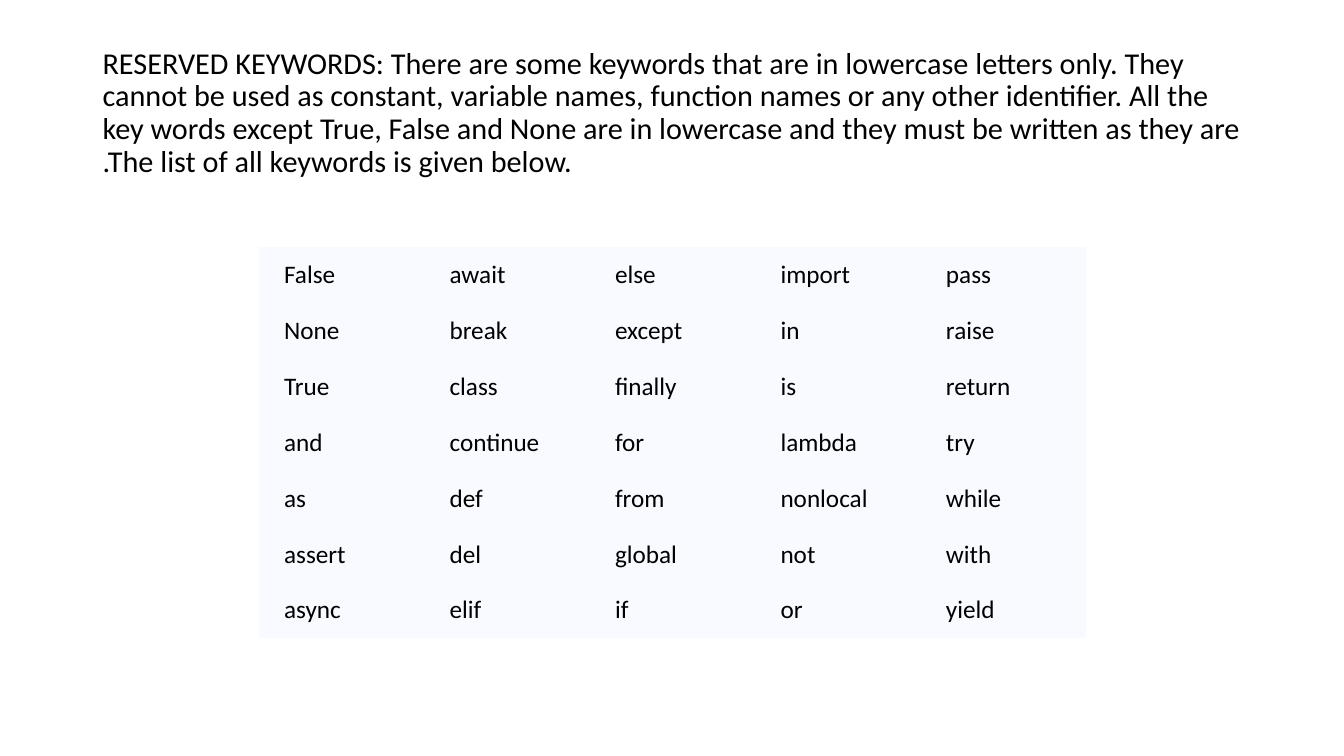
import pptx
import pptx.util
import pptx.dml.color
import pptx.enum.text
from pptx.util import Cm, Pt

THEME = {
    "font": "Calibri",
    "title_size": Pt(21.6),
    "cell_size": Pt(18),
    "text": pptx.dml.color.RGBColor(0x00, 0x00, 0x00),
    "cell_fill": pptx.dml.color.RGBColor(0xF8, 0xFA, 0xFF),
    "plain_table": "{2D5ABB26-0587-4C30-8999-92F81FD0307C}",
}
MIDDLE = pptx.enum.text.MSO_ANCHOR.MIDDLE
INTRO = (
    "RESERVED KEYWORDS: There are some keywords that are in lowercase letters only. "
    "They cannot be used as constant, variable names, function names or any other "
    "identifier. All the key words except True, False and None are in lowercase and "
    "they must be written as they are .The list of all keywords is given below."
)
KEYWORD_COLUMNS = [
    "False None True and as assert async".split(),
    "await break class continue def del elif".split(),
    "else except finally for from global if".split(),
    "import in is lambda nonlocal not or".split(),
    "pass raise return try while with yield".split(),
]


def set_attrs(obj, values):
    """Set each named attribute of an object."""
    for name, value in values.items():
        setattr(obj, name, value)


def write_text(p, text, size):
    """Write one left-aligned run in the theme font."""
    p.alignment = pptx.enum.text.PP_ALIGN.LEFT
    r = p.add_run()
    r.text = text
    set_attrs(r.font, {"name": THEME["font"], "size": size})
    r.font.color.rgb = THEME["text"]


def add_intro(slide, left, top, width, height):
    """Place the introduction in the title placeholder."""
    sp = slide.shapes.title
    set_attrs(sp, {"left": left, "top": top, "width": width, "height": height})
    tf = sp.text_frame
    set_attrs(tf, {
        "word_wrap": True,
        "vertical_anchor": MIDDLE,
        "auto_size": pptx.enum.text.MSO_AUTO_SIZE.NONE,
    })
    p = tf.paragraphs[0]
    set_attrs(p, {"line_spacing": 0.9, "space_before": Pt(0)})
    write_text(p, INTRO, THEME["title_size"])


def add_keyword_table(slide, left, top, width, height):
    """Fill a plain table with the keywords, running down each column."""
    rows, cols = len(KEYWORD_COLUMNS[0]), len(KEYWORD_COLUMNS)
    table = slide.shapes.add_table(rows, cols, left, top, width, height).table
    set_attrs(table, {"first_row": False, "horz_banding": False})
    style = next(e for e in table._tbl.tblPr if e.tag.endswith("tableStyleId"))
    style.text = THEME["plain_table"]
    cell_format = {
        "margin_left": Cm(0.64), "margin_right": Cm(0.64),
        "margin_top": Cm(0.3), "margin_bottom": Cm(0.3),
        "vertical_anchor": MIDDLE,
    }
    for col, keywords in enumerate(KEYWORD_COLUMNS):
        for row, keyword in enumerate(keywords):
            cell = table.cell(row, col)
            set_attrs(cell, cell_format)
            cell.fill.solid()
            cell.fill.fore_color.rgb = THEME["cell_fill"]
            write_text(cell.text_frame.paragraphs[0], keyword, THEME["cell_size"])


def main():
    """Build and save the reserved keywords slide."""
    prs = pptx.Presentation()
    set_attrs(prs, {"slide_width": Cm(33.87), "slide_height": Cm(19.05)})
    slide = prs.slides.add_slide(prs.slide_layouts.get_by_name("Title Only"))
    add_intro(slide, Cm(2.33), Cm(1.02), Cm(29.21), Cm(3.68))
    add_keyword_table(slide, Cm(6.52), Cm(6.22), Cm(20.85), Cm(9.87))
    prs.save("out.pptx")


main()
